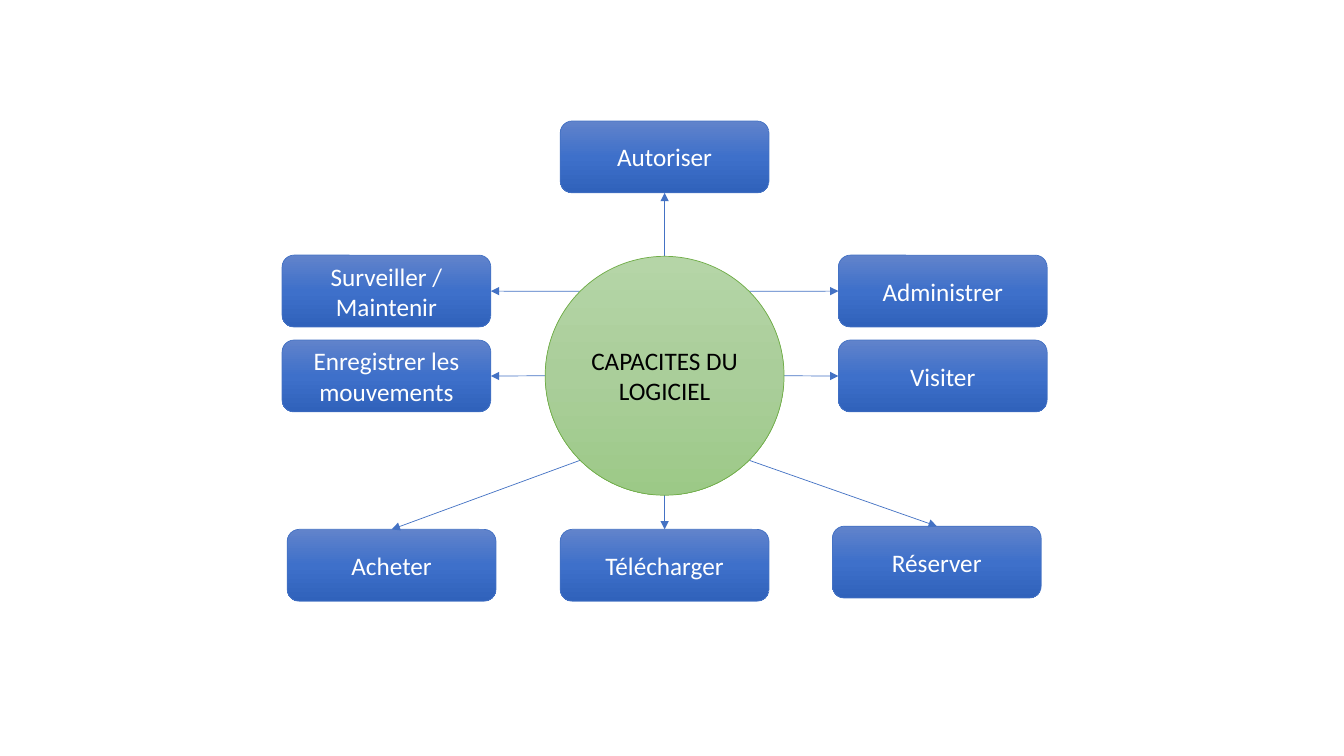
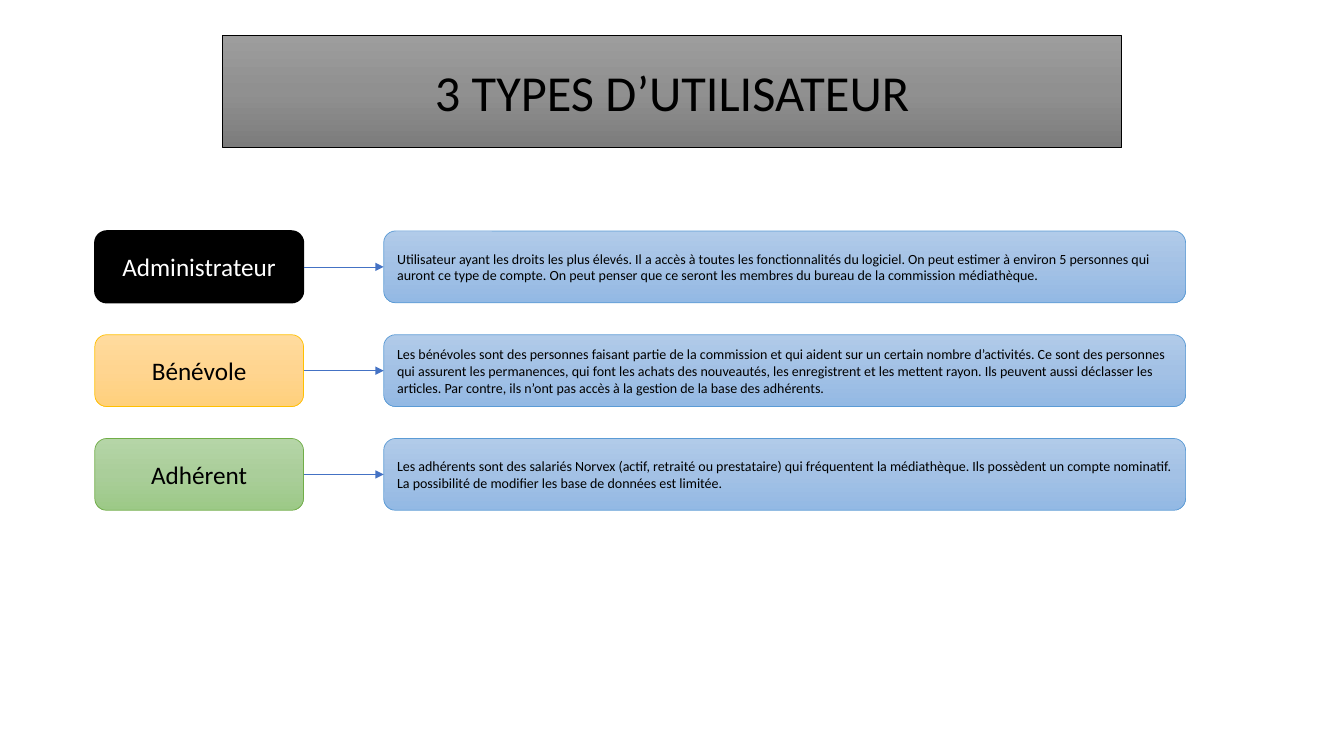
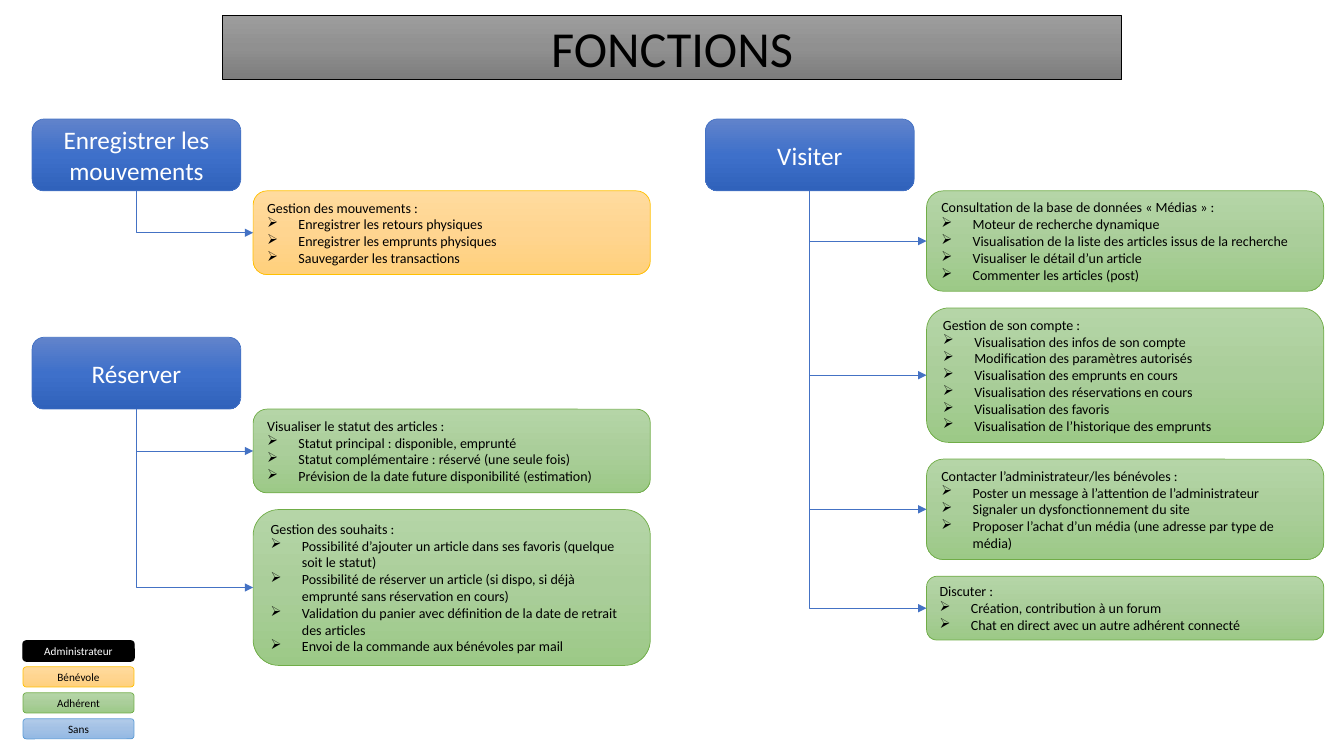
from copy import deepcopy
from math import cos, radians, sin
from typing import NamedTuple

from pptx import Presentation
from pptx.dml.color import RGBColor
from pptx.enum.shapes import MSO_CONNECTOR as Link, MSO_SHAPE as Preset
from pptx.enum.text import MSO_ANCHOR as Anchor, MSO_AUTO_SIZE as AutoSize, PP_ALIGN as Align
from pptx.oxml import parse_xml
from pptx.oxml.ns import nsdecls, qn
from pptx.oxml.xmlchemy import OxmlElement
from pptx.util import Cm, Pt


class Box(NamedTuple):
    """Area in centimetres."""
    left: float
    top: float
    width: float
    height: float

    def emu(self):
        return [Cm(length) for length in self]


class Style(NamedTuple):
    fill: tuple
    line: str
    text: str = "000000"
    line_width: float = 0.5


# Shared look
FONT = "Calibri"
LINK_COLOUR = "4472C4"
KEY_WIDTH, KEY_HEIGHT = 5.26, 1.81
TITLE_LEFT, TITLE_WIDTH = 5.61, 22.66
TOP, LEFT, BOTTOM, RIGHT = range(4)  # connection sites of a rounded box

FUNCTION = Style(("6183CB", "3E70CA", "3062BB"), "4472C4", "FFFFFF")
ADMIN = Style(("000000",), "000000", "FFFFFF", 1)
VOLUNTEER = Style(("FFDB9E", "FFD590", "FFD07C"), "FFC000")
MEMBER = Style(("B5D5A7", "AACE9A", "9CC987"), "70AD47")
NEUTRAL = Style(("B1CBE9", "A3C1E5", "93B9E4"), "5B9BD5")
BANNER = Style(("9D9D9D", "909090", "7C7C7C"), "000000")


def colour(hex_value):
    return RGBColor.from_string(hex_value)


def apply(target, values):
    for name, value in values.items():
        setattr(target, name, value)


def paint(shape, style):
    """Fill and outline; several fill colours make a downward gradient."""
    fill = shape.fill
    if len(style.fill) == 1:
        fill.solid()
        fill.fore_color.rgb = colour(style.fill[0])
    else:
        fill.gradient()
        fill.gradient_angle = 270
        stop_list = shape.element.spPr.find(qn("a:gradFill")).find(qn("a:gsLst"))
        stop_list.insert(1, deepcopy(stop_list[0]))
        for stop, hex_value, position in zip(fill.gradient_stops, style.fill, (0, 0.5, 1)):
            stop.color.rgb = colour(hex_value)
            stop.position = position
    shape.line.color.rgb = colour(style.line)
    shape.line.width = Pt(style.line_width)


def write(shape, lines, style, size, align):
    """First line is plain, the following ones are bulleted."""
    frame = shape.text_frame
    apply(frame, {"word_wrap": True, "auto_size": AutoSize.NONE,
                  "vertical_anchor": Anchor.MIDDLE})
    for index, line in enumerate(lines):
        paragraph = frame.add_paragraph() if index else frame.paragraphs[0]
        paragraph.alignment = align
        run = paragraph.add_run()
        run.text = line
        apply(run.font, {"name": FONT, "size": Pt(size)})
        run.font.color.rgb = colour(style.text)
        if index:
            properties = paragraph._p.get_or_add_pPr()
            properties.set("marL", str(Cm(0.79)))
            properties.set("indent", str(-Cm(0.79)))
            bullet = OxmlElement("a:buChar")
            bullet.set("char", "➢")
            properties.append(bullet)


def panel(slide, box, lines, style, size=18, align=Align.CENTER,
          preset=Preset.ROUNDED_RECTANGLE):
    shape = slide.shapes.add_shape(preset, *box.emu())
    shape.shadow.inherit = False
    paint(shape, style)
    write(shape, lines, style, size, align)
    return shape


def title_banner(slide, box, text):
    title = slide.shapes.title
    apply(title, dict(zip(("left", "top", "width", "height"), box.emu())))
    title.element.spPr.insert(1, parse_xml(
        f'<a:prstGeom {nsdecls("a")} prst="roundRect"><a:avLst/></a:prstGeom>'))
    paint(title, BANNER)
    write(title, [text], BANNER, 36, Align.CENTER)


def finish_link(link):
    """Line colour, arrowhead at the end, no shadow."""
    link.line.color.rgb = colour(LINK_COLOUR)
    link.line.width = Pt(0.5)
    arrowhead = OxmlElement("a:tailEnd")
    arrowhead.set("type", "triangle")
    link.line._get_or_add_ln().append(arrowhead)
    link._element.spPr.append(OxmlElement("a:effectLst"))


def arrow(slide, x, y, target, site):
    link = slide.shapes.add_connector(Link.STRAIGHT, Cm(x), Cm(y), Cm(x), Cm(y))
    link.end_connect(target, site)
    finish_link(link)


def branch(slide, x, y, end_x, end_y):
    """Elbow going down, then right: a mirrored two-part bend turned by 270 degrees."""
    across, down = end_x - x, end_y - y
    left = (x + end_x - down) / 2
    top = (y + end_y - across) / 2
    link = slide.shapes.add_connector(
        Link.ELBOW, Cm(left + down), Cm(top), Cm(left), Cm(top + across))
    properties = link._element.spPr
    properties.find(qn("a:prstGeom")).set("prst", "bentConnector2")
    properties.find(qn("a:xfrm")).set("rot", str(270 * 60000))
    finish_link(link)


def capability_map(slide, box, hub_text, spokes):
    """Round hub with an arrow to each capability."""
    diameter = 6.02
    radius = diameter / 2
    centre_x = box.left + box.width / 2
    centre_y = box.top + 6.42
    for text, x, y, angle, site in spokes:
        key = panel(slide, Box(box.left + x, box.top + y, KEY_WIDTH, KEY_HEIGHT),
                    [text], FUNCTION)
        arrow(slide, centre_x + radius * cos(radians(angle)),
              centre_y - radius * sin(radians(angle)), key, site)
    panel(slide, Box(centre_x - radius, centre_y - radius, diameter, diameter),
          [hub_text], MEMBER, preset=Preset.OVAL)


def role_rows(slide, box, roles):
    """Role on the left, its description on the right."""
    pitch = (box.height - KEY_HEIGHT) / (len(roles) - 1)
    offset = 7.28
    for row, (role, style, description) in enumerate(roles):
        top = box.top + row * pitch
        panel(slide, Box(box.left, top, KEY_WIDTH, KEY_HEIGHT), [role], style)
        details = panel(slide, Box(box.left + offset, top, box.width - offset, KEY_HEIGHT),
                        [description], NEUTRAL, 10, Align.LEFT)
        arrow(slide, box.left + KEY_WIDTH, top + KEY_HEIGHT / 2, details, LEFT)


def function_tree(slide, box, name, cards):
    """Function heading with detail cards hanging below it."""
    offset, gap = 5.57, 0.42
    panel(slide, Box(box.left, box.top, KEY_WIDTH, KEY_HEIGHT), [name], FUNCTION)
    trunk_x, trunk_y = box.left + KEY_WIDTH / 2, box.top + KEY_HEIGHT
    card_left, top = box.left + offset, trunk_y
    for style, height, lines in cards:
        panel(slide, Box(card_left, top, box.width - offset, height),
              lines, style, 10, Align.LEFT)
        branch(slide, trunk_x, trunk_y, card_left, top + height / 2)
        top += height + gap


def legend(slide, box, entries):
    height = 0.51
    pitch = (box.height - height) / (len(entries) - 1)
    for row, (name, style) in enumerate(entries):
        panel(slide, Box(box.left, box.top + row * pitch, box.width, height),
              [name], style, 8)


# Content
CAPABILITIES = [  # text, x, y, angle on the hub, site
    ("Autoriser", 7.01, 0, 90, BOTTOM),
    ("Administrer", 14.02, 3.38, 45, LEFT),
    ("Visiter", 14.02, 5.52, 0, LEFT),
    ("Réserver", 13.87, 10.21, -45, TOP),
    ("Télécharger", 7.01, 10.29, -90, TOP),
    ("Acheter", 0.13, 10.29, -135, TOP),
    ("Enregistrer les mouvements", 0, 5.52, 180, RIGHT),
    ("Surveiller / Maintenir", 0, 3.38, 135, RIGHT),
]
ROLES = [
    ("Administrateur", ADMIN,
     "Utilisateur ayant les droits les plus élevés. Il a accès à toutes les fonctionnalités "
     "du logiciel. On peut estimer à environ 5 personnes qui auront ce type de compte. "
     "On peut penser que ce seront les membres du bureau de la commission médiathèque."),
    ("Bénévole", VOLUNTEER,
     "Les bénévoles sont des personnes faisant partie de la commission et qui aident sur un "
     "certain nombre d’activités. Ce sont des personnes qui assurent les permanences, qui font "
     "les achats des nouveautés, les enregistrent et les mettent rayon. Ils peuvent aussi "
     "déclasser les articles. Par contre, ils n’ont pas accès à la gestion de la base des "
     "adhérents."),
    ("Adhérent", MEMBER,
     "Les adhérents sont des salariés Norvex (actif, retraité ou prestataire) qui fréquentent "
     "la médiathèque. Ils possèdent un compte nominatif. La possibilité de modifier les base "
     "de données est limitée."),
]
MOVEMENTS = [
    (VOLUNTEER, 2.11, [
        "Gestion des mouvements :",
        "Enregistrer les retours physiques",
        "Enregistrer les emprunts physiques",
        "Sauvegarder les transactions"]),
]
BOOKINGS = [
    (MEMBER, 2.11, [
        "Visualiser le statut des articles :",
        "Statut principal : disponible, emprunté",
        "Statut complémentaire : réservé (une seule fois)",
        "Prévision de la date future disponibilité (estimation)"]),
    (MEMBER, 3.93, [
        "Gestion des souhaits :",
        "Possibilité d’ajouter un article dans ses favoris (quelque soit le statut)",
        "Possibilité de réserver un article (si dispo, si déjà emprunté sans réservation "
        "en cours)",
        "Validation du panier avec définition de la date de retrait des articles",
        "Envoi de la commande aux bénévoles par mail"]),
]
VISITS = [
    (MEMBER, 2.53, [
        "Consultation de la base de données «\u00a0Médias\u00a0» :",
        "Moteur de recherche dynamique",
        "Visualisation de la liste des articles issus de la recherche",
        "Visualiser le détail d’un article",
        "Commenter les articles (post)"]),
    (MEMBER, 3.39, [
        "Gestion de son compte :",
        "Visualisation des infos de son compte",
        "Modification des paramètres autorisés",
        "Visualisation des emprunts en cours",
        "Visualisation des réservations en cours",
        "Visualisation des favoris",
        "Visualisation de l’historique des emprunts"]),
    (MEMBER, 2.53, [
        "Contacter l’administrateur/les bénévoles :",
        "Poster un message à l’attention de l’administrateur",
        "Signaler un dysfonctionnement du site",
        "Proposer l’achat d’un média (une adresse par type de média)"]),
    (MEMBER, 1.61, [
        "Discuter :",
        "Création, contribution à un forum",
        "Chat en direct avec un autre adhérent connecté"]),
]

deck = Presentation()
deck.slide_width, deck.slide_height = Cm(33.87), Cm(19.05)
title_only, blank = deck.slide_layouts[5], deck.slide_layouts[6]

# Slide 1: software capabilities
capabilities = deck.slides.add_slide(blank)
capability_map(capabilities, Box(7.11, 3.05, 19.28, 12.1), "CAPACITES DU LOGICIEL", CAPABILITIES)

# Slide 2: user types
users = deck.slides.add_slide(title_only)
title_banner(users, Box(TITLE_LEFT, 0.89, TITLE_WIDTH, 2.83), "3 TYPES D’UTILISATEUR")
role_rows(users, Box(2.39, 5.82, 27.49, 7.04), ROLES)

# Slide 3: functions by user type
functions = deck.slides.add_slide(title_only)
title_banner(functions, Box(TITLE_LEFT, 0.38, TITLE_WIDTH, 1.63), "FONCTIONS")
function_tree(functions, Box(0.81, 3, 15.58, 3.92), "Enregistrer les mouvements", MOVEMENTS)
function_tree(functions, Box(0.81, 8.5, 15.58, 8.27), "Réserver", BOOKINGS)
function_tree(functions, Box(17.78, 3, 15.58, 13.13), "Visiter", VISITS)
legend(functions, Box(0.58, 16.15, 2.8, 2.47),
       [(role, style) for role, style, _ in ROLES] + [("Sans", NEUTRAL)])

deck.save("out.pptx")
